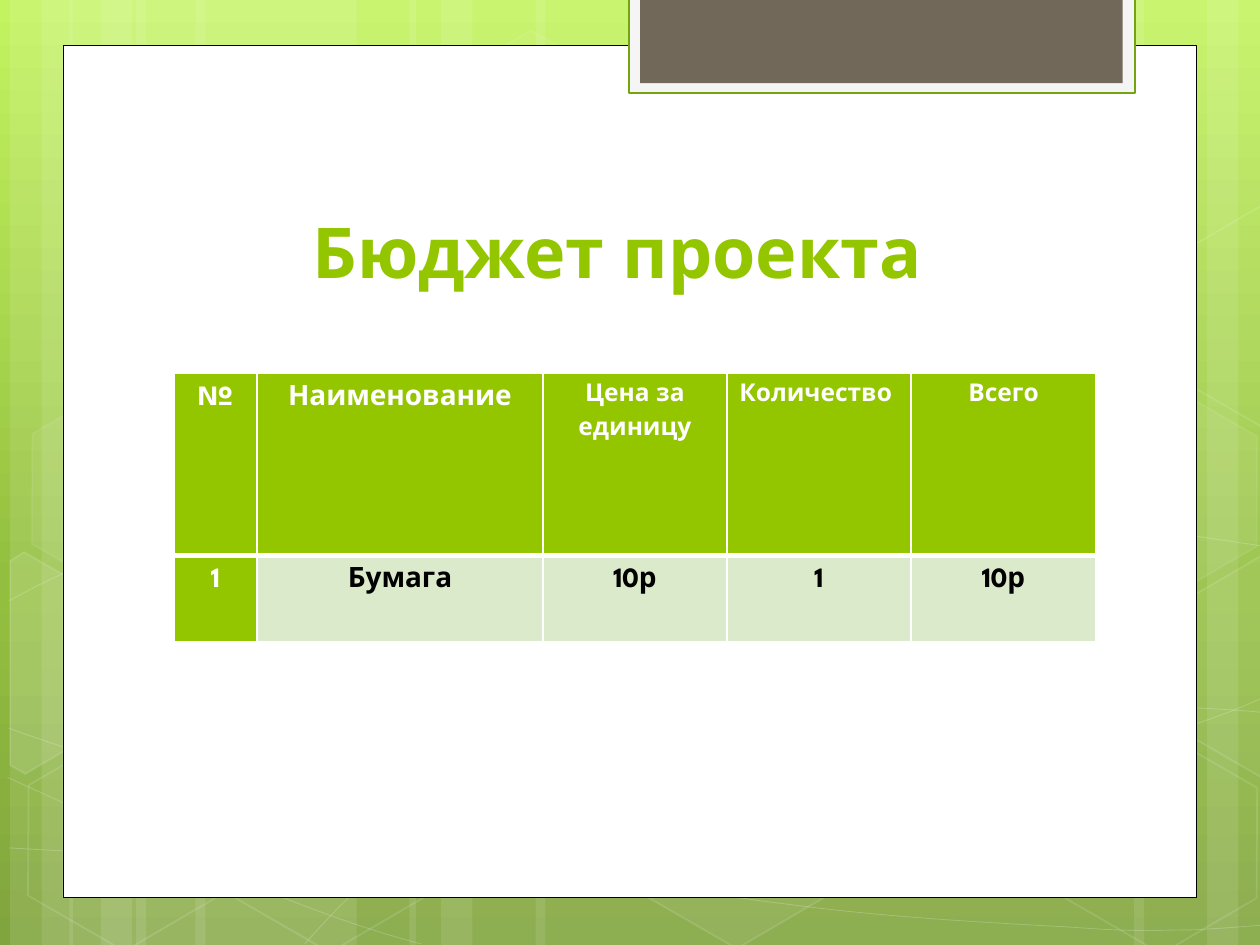
from copy import deepcopy
from math import cos, radians, sin

from lxml.etree import SubElement
from pptx import Presentation
from pptx.dml.color import RGBColor
from pptx.enum.shapes import MSO_SHAPE
from pptx.enum.text import MSO_ANCHOR, PP_ALIGN
from pptx.oxml.ns import qn
from pptx.util import Inches, Pt

FONT = "League Spartan"
WHITE = RGBColor(0xFF, 0xFF, 0xFF)
BLACK = RGBColor(0, 0, 0)
LIME = RGBColor(0x94, 0xC6, 0x00)
PALE = RGBColor(0xDC, 0xEA, 0xCC)
SMOKE = RGBColor(0xF5, 0xF5, 0xF5)
OLIVE = RGBColor(0x74, 0xA5, 0x10)
TAUPE = RGBColor(0x71, 0x68, 0x5A)
SKY = [(0, RGBColor(0xC3, 0xF3, 0x5F)), (0.62, RGBColor(0x93, 0xBF, 0x3F)),
       (1, RGBColor(0x81, 0xA5, 0x3E))]
TILT = 30

STRIPES = [(1.08, 1.75), (0.08, 0.5), (0.33, 0.83), (1.55, 1.75),
           (0.55, 0.5), (0.8, 0.83), (7.33, 1.75), (9.58, 0.5),
           (9, 0.83), (4.25, 3.08), (3.25, 0.5), (3.5, 0.83)]
# Each curve: a start point, then three Bezier points for every piece.
CURVES = [
    [(0.07, 6.73), (0.61, 6.76), (1.15, 6.79), (1.9, 6.78),
     (2.65, 6.77), (3.58, 6.75), (4.58, 6.65),
     (5.58, 6.55), (7, 6.36), (7.92, 6.17),
     (8.83, 5.98), (9.77, 5.68), (10.07, 5.51)],
    [(0.07, 4.77), (0.36, 4.61), (0.65, 4.46), (1.21, 4.31),
     (1.78, 4.16), (2.59, 3.94), (3.47, 3.87),
     (4.36, 3.8), (5.44, 3.79), (6.54, 3.87),
     (7.64, 3.95), (9.47, 4.26), (10.07, 4.34)],
    [(0.06, 6.17), (1.27, 6.72), (2.47, 7.27), (3.34, 7.49)],
    [(0.07, 5.78), (0.38, 5.89), (0.7, 6), (1.28, 6.16),
     (1.86, 6.31), (2.73, 6.56), (3.57, 6.73),
     (4.4, 6.9), (5.45, 7.08), (6.28, 7.18),
     (7.11, 7.29), (8, 7.33), (8.53, 7.36),
     (9.05, 7.4), (9.19, 7.38), (9.45, 7.38),
     (9.71, 7.37), (9.89, 7.35), (10.07, 7.34)],
    [(2.42, 7.49), (2.6, 7.29), (2.78, 7.09), (3.02, 6.91),
     (3.26, 6.73), (3.6, 6.53), (3.88, 6.39),
     (4.16, 6.25), (4.33, 6.19), (4.7, 6.09),
     (5.06, 5.99), (5.73, 5.85), (6.08, 5.78),
     (6.44, 5.71), (6.49, 5.71), (6.8, 5.69),
     (7.11, 5.66), (7.6, 5.63), (7.94, 5.62),
     (8.29, 5.61), (8.86, 5.62), (8.86, 5.62),
     (8.86, 5.62), (9.53, 5.62), (9.53, 5.62),
     (9.71, 5.63), (9.88, 5.64), (9.97, 5.65),
     (10.06, 5.66), (10.03, 5.65), (10.06, 5.66)],
]
# Left, top, fill opacity and line opacity in percent.
HEXES = [(3.34, 0.36, 4, 8), (4.97, 5.89, 6, 12), (0.11, 5.91, 0, 12),
         (0.14, 3.12, 7, 8), (1.74, 5.92, 0, 12), (7.53, 4.53, 10, 12),
         (8.34, 5.93, 0, 12), (8.34, 3.14, 7, 8)]
# Hexagons cut by the slide's edge: centre, corners and fill opacity.
CUTS = [
    ((0.36, 5.35), [(0.08, 4.45), (0.19, 4.38), (0.96, 4.82), (0.95, 5.7),
                    (0.2, 6.14), (0.08, 6.07)], 10),
    ((9.85, 5.2), [(9.26, 4.85), (10.01, 4.41), (10.09, 4.46), (10.09, 6.13),
                   (10.02, 6.17), (9.26, 5.73)], 4),
    ((9.85, 2.41), [(9.26, 2.07), (10.01, 1.63), (10.1, 1.68), (10.09, 3.35),
                    (10.02, 3.39), (9.26, 2.95)], 0),
]
WIDTHS = [0.66, 2.27, 1.46, 1.46, 1.47]
HEIGHTS = [1.45, 0.68]
ROWS = [["№", "Наименование", "Цена за единицу", "Количество ", "Всего"],
        ["1", "Бумага", "10р", "1", "10р"]]


def fade(part, pct):
    """Make the solid colour directly under an XML part see-through."""
    tone = part.find(qn("a:solidFill")).find(qn("a:srgbClr"))
    SubElement(tone, qn("a:alpha")).set("val", str(pct * 1000))


def paint(shape, fill=None, line=None, width=1, fill_pct=100, line_pct=100):
    shape.shadow.inherit = False
    props = shape._element.spPr
    if fill is None or not fill_pct:
        shape.fill.background()
    else:
        shape.fill.solid()
        shape.fill.fore_color.rgb = fill
        if fill_pct < 100:
            fade(props, fill_pct)
    if line is None:
        shape.line.fill.background()
    else:
        shape.line.color.rgb = line
        shape.line.width = Pt(width)
        if line_pct < 100:
            fade(props.find(qn("a:ln")), line_pct)


def add_box(slide, left, top, width, height, kind=MSO_SHAPE.RECTANGLE):
    return slide.shapes.add_shape(kind, Inches(left), Inches(top),
                                  Inches(width), Inches(height))


def add_path(slide, left, top, dots, close):
    dots = [(Inches(left + x), Inches(top + y)) for x, y in dots]
    pen = slide.shapes.build_freeform(*dots[0])
    pen.add_line_segments(dots[1:], close=close)
    return pen.convert_to_shape()


def add_curve(slide, left, top, knots):
    """Turn every three straight segments into one Bezier piece."""
    curve = add_path(slide, left, top, knots, False)
    route = curve._element.find(".//" + qn("a:path"))
    lines = route.findall(qn("a:lnTo"))
    for i in range(0, len(lines), 3):
        piece = SubElement(route, qn("a:cubicBezTo"))
        for line in lines[i:i + 3]:
            piece.append(line[0])
            route.remove(line)
    return curve


def turn(dot, hub, angle):
    x, y = dot[0] - hub[0], dot[1] - hub[1]
    c, s = cos(radians(angle)), sin(radians(angle))
    return hub[0] + x * c - y * s, hub[1] + x * s + y * c


def add_sky(slide):
    fill = slide.background.fill
    fill.gradient()
    fill.gradient_angle = 270
    stops = slide._element.find(".//" + qn("a:gsLst"))
    stops.append(deepcopy(stops[-1]))
    for stop, (spot, tone) in zip(fill.gradient_stops, SKY):
        stop.position = spot
        stop.color.rgb = tone


def add_decor(slide, left, top, height):
    for x, width in STRIPES:
        paint(add_box(slide, left + x, top, width, height), WHITE, fill_pct=10)
    for knots in CURVES:
        paint(add_curve(slide, left, top, knots), line=WHITE, width=0.5, line_pct=20)
    for x, y, fill_pct, line_pct in HEXES:
        cell = add_box(slide, left + x, top + y, 1.75, 1.52, MSO_SHAPE.HEXAGON)
        cell.adjustments[0] = 0.285
        cell.adjustments[1] = 1.155
        cell.rotation = TILT
        paint(cell, WHITE, WHITE, 1, fill_pct, line_pct)
    for hub, dots, fill_pct in CUTS:
        flat = [turn(dot, hub, -TILT) for dot in dots]
        cell = add_path(slide, left, top, flat, True)
        cell.rotation = TILT
        paint(cell, WHITE, WHITE, 1, fill_pct, 12)


def add_sheet(slide, left, top, width, height):
    """White page with a tab hanging over its top edge."""
    paint(add_box(slide, left, top, width, height), WHITE, BLACK, 0.5)
    tab = left + 4.49
    paint(add_box(slide, tab, -0.02, 4.02, 0.76), SMOKE, OLIVE, 1.25)
    paint(add_box(slide, tab + 0.09, -0.02, 3.83, 0.68), TAUPE)


def style(para, size, color):
    font = para.runs[0].font
    font.name, font.size, font.bold = FONT, Pt(size), True
    font.color.rgb = color


def set_title(slide, left, top, width, height):
    title = slide.shapes.title
    slide.shapes._spTree.append(title._element)
    title.left, title.top = Inches(left), Inches(top)
    title.width, title.height = Inches(width), Inches(height)
    frame = title.text_frame
    frame.text = "Бюджет проекта"
    frame.vertical_anchor = MSO_ANCHOR.BOTTOM
    frame.margin_left = Inches(1.34)
    frame.paragraphs[0].alignment = PP_ALIGN.LEFT
    style(frame.paragraphs[0], 40, LIME)


def add_edge(cell, side, width):
    edge = SubElement(cell._tc.get_or_add_tcPr(), qn("a:" + side), w=str(Pt(width)))
    SubElement(SubElement(edge, qn("a:solidFill")), qn("a:srgbClr"), val=str(WHITE))


def add_budget(slide, left, top):
    grid = slide.shapes.add_table(len(ROWS), len(WIDTHS), Inches(left), Inches(top),
                                  Inches(sum(WIDTHS)), Inches(sum(HEIGHTS))).table
    grid.horz_banding = False
    for col, width in zip(grid.columns, WIDTHS):
        col.width = Inches(width)
    for r, texts in enumerate(ROWS):
        grid.rows[r].height = Inches(HEIGHTS[r])
        for c, text in enumerate(texts):
            cell = grid.cell(r, c)
            head = r == 0 or c == 0
            for side, width in (("lnL", 1), ("lnR", 1), ("lnT", 3 if r else 1),
                                ("lnB", 1 if r else 3)):
                add_edge(cell, side, width)
            cell.fill.solid()
            cell.fill.fore_color.rgb = LIME if head else PALE
            cell.margin_left = cell.margin_right = Inches(0.07)
            cell.margin_top = cell.margin_bottom = 0
            cell.text_frame.text = text
            para = cell.text_frame.paragraphs[0]
            para.alignment = PP_ALIGN.CENTER
            para.line_spacing = 1.5
            style(para, 14 if r == 0 and c > 1 else 16, WHITE if head else BLACK)


def main():
    deck = Presentation()
    deck.slide_width, deck.slide_height = Inches(10), Inches(7.5)
    slide = deck.slides.add_slide(deck.slide_layouts[5])
    add_sky(slide)
    add_decor(slide, 0, 0, 7.5)
    add_sheet(slide, 0.5, 0.36, 9, 6.76)
    set_title(slide, 1.14, 1.12, 7.68, 1.25)
    add_budget(slide, 1.38, 2.96)
    deck.save("out.pptx")


if __name__ == "__main__":
    main()
